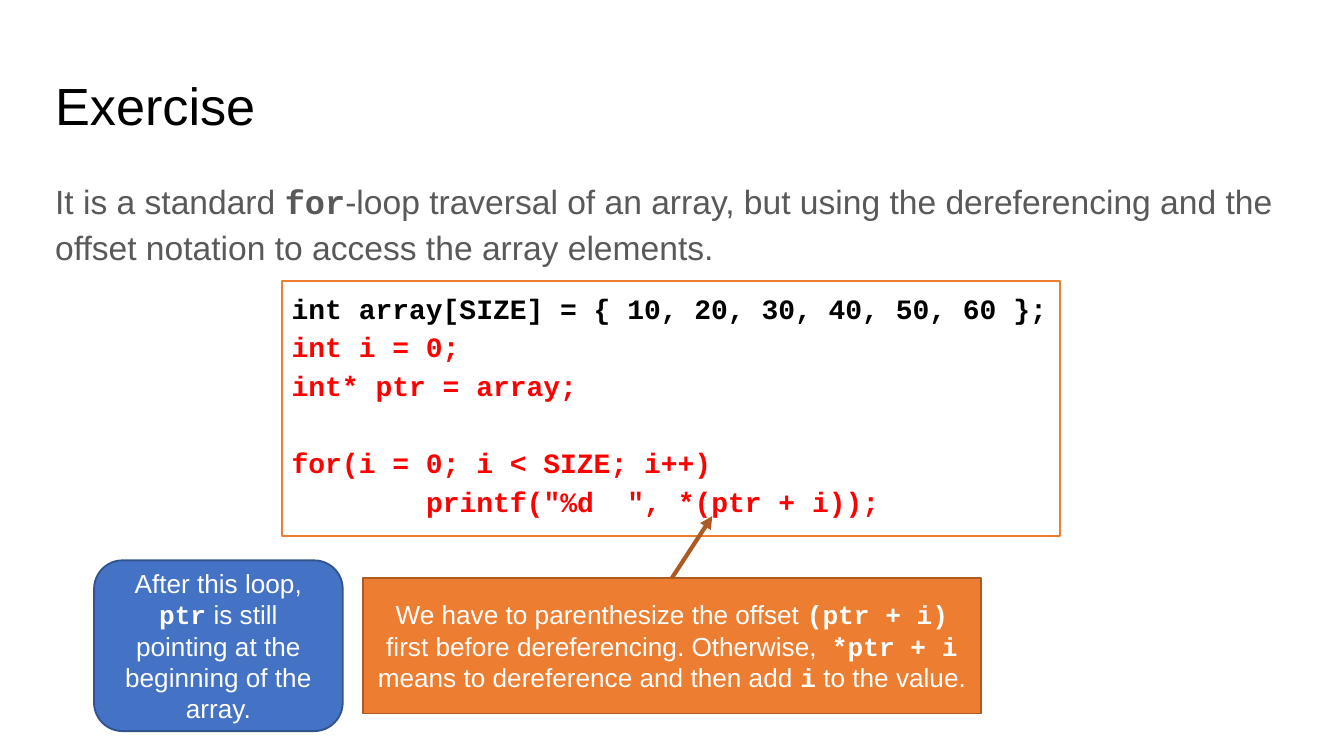
"""Build the exercise slide on array traversal with pointer offset notation."""
import pptx
import pptx.util
from lxml import etree
from pptx.dml.color import RGBColor
from pptx.enum.shapes import MSO_CONNECTOR, MSO_SHAPE
from pptx.enum.text import MSO_ANCHOR, MSO_AUTO_SIZE, PP_ALIGN
from pptx.oxml.ns import qn
from dataclasses import dataclass

Inches, Pt = pptx.util.Inches, pptx.util.Pt


@dataclass(frozen=True)
class Theme:
    sans: str = "Arial"
    mono: str = "Courier New"
    black: str = "000000"
    grey: str = "595959"
    white: str = "FFFFFF"
    red: str = "FF0000"
    orange: str = "ED7D31"
    dark_orange: str = "AC5B23"
    blue: str = "4472C4"
    dark_blue: str = "31538F"
    title_size: int = 28
    body_size: int = 18
    code_size: int = 15
    note_size: int = 14


theme = Theme()


def add_runs(paragraph, runs, size, color):
    for text, is_code in runs:
        run = paragraph.add_run()
        run.text = text
        run.font.name = theme.mono if is_code else theme.sans
        run.font.bold = is_code
        run.font.size = Pt(size)
        run.font.color.rgb = RGBColor.from_string(color)


def set_frame(shape, inset_x, inset_y, anchor):
    frame = shape.text_frame
    frame.word_wrap = True
    frame.auto_size = MSO_AUTO_SIZE.NONE
    frame.vertical_anchor = anchor
    frame.margin_left = frame.margin_right = Inches(inset_x)
    frame.margin_top = frame.margin_bottom = Inches(inset_y)
    return frame


deck = pptx.Presentation()
deck.slide_width, deck.slide_height = Inches(10), Inches(10 * 9 / 16)
slide = deck.slides.add_slide(deck.slide_layouts[5])

heading = slide.shapes.title
heading.left, heading.top = Inches(0.34), Inches(0.49)
heading.width, heading.height = Inches(9.32), Inches(0.63)
heading_line = set_frame(heading, 0.07, 0.04, MSO_ANCHOR.MIDDLE).paragraphs[0]
heading_line.alignment = PP_ALIGN.LEFT
heading_line.line_spacing = 0.9
add_runs(heading_line, [("Exercise", False)], theme.title_size, theme.black)

explanation = slide.shapes.add_textbox(Inches(0.34), Inches(1.26), Inches(9.32), Inches(3.74))
explanation_line = set_frame(explanation, 0.07, 0.04, MSO_ANCHOR.TOP).paragraphs[0]
explanation_line.line_spacing = 1.15
explanation_line.space_after = Pt(16)
add_runs(explanation_line, [
    ("It is a standard ", False),
    ("for", True),
    ("-loop traversal of an array, but using the dereferencing and the "
     "offset notation to access the array elements.", False),
], theme.body_size, theme.grey)

panels = []
for kind, box, fill, outline in [
    (MSO_SHAPE.RECTANGLE, (2.1, 2.09, 5.79, 1.9), theme.white, theme.orange),
    (MSO_SHAPE.RECTANGLE, (2.7, 4.3, 4.6, 1.01), theme.orange, theme.dark_orange),
    (MSO_SHAPE.ROUNDED_RECTANGLE, (0.7, 4.17, 1.85, 1.27), theme.blue, theme.dark_blue),
]:
    panel = slide.shapes.add_shape(kind, *map(Inches, box))
    panel.shadow.inherit = False
    panel.fill.solid()
    panel.fill.fore_color.rgb = RGBColor.from_string(fill)
    panel.line.color.rgb = RGBColor.from_string(outline)
    panel.line.width = Pt(1)
    panels.append(panel)
listing, offset_note, loop_note = panels

listing_frame = set_frame(listing, 0.07, 0.04, MSO_ANCHOR.TOP)
code = [
    ("int array[SIZE] = { 10, 20, 30, 40, 50, 60 };", theme.black),
    ("int i = 0;", theme.red),
    ("int* ptr = array;", theme.red),
    ("", theme.red),
    ("for(i = 0; i < SIZE; i++)", theme.red),
    ("\tprintf(\"%d  \", *(ptr + i));", theme.red),
]
for index, (statement, color) in enumerate(code):
    code_line = listing_frame.add_paragraph() if index else listing_frame.paragraphs[0]
    code_line.alignment = PP_ALIGN.LEFT
    code_line.line_spacing = 1.15
    tab_stops = etree.SubElement(code_line._p.get_or_add_pPr(), qn("a:tabLst"))
    etree.SubElement(tab_stops, qn("a:tab"), pos=str(Inches(1)), algn="l")
    add_runs(code_line, [(statement, True)], theme.code_size, color)

for note, inset_y, runs in [
    (offset_note, 0.1, [
        ("We have to parenthesize the offset ", False),
        ("(ptr + i)", True),
        (" first before dereferencing. Otherwise,  ", False),
        ("*ptr + i ", True),
        ("means to dereference and then add ", False),
        ("i", True),
        (" to the value.", False),
    ]),
    (loop_note, 0.05, [
        ("After this loop, ", False),
        ("ptr", True),
        (" is still pointing at the beginning of the array.", False),
    ]),
]:
    note_line = set_frame(note, 0.1, inset_y, MSO_ANCHOR.MIDDLE).paragraphs[0]
    note_line.alignment = PP_ALIGN.CENTER
    add_runs(note_line, runs, theme.note_size, theme.white)

pointer = slide.shapes.add_connector(
    MSO_CONNECTOR.STRAIGHT, Inches(5), Inches(4.3), Inches(5.3), Inches(3.84))
pointer.begin_connect(offset_note, 0)
pointer.line.color.rgb = RGBColor.from_string(theme.dark_orange)
pointer.line.width = Pt(2.25)
etree.SubElement(pointer.line._get_or_add_ln(), qn("a:tailEnd"), type="triangle")
etree.SubElement(pointer._element.spPr, qn("a:effectLst"))

deck.save("out.pptx")
